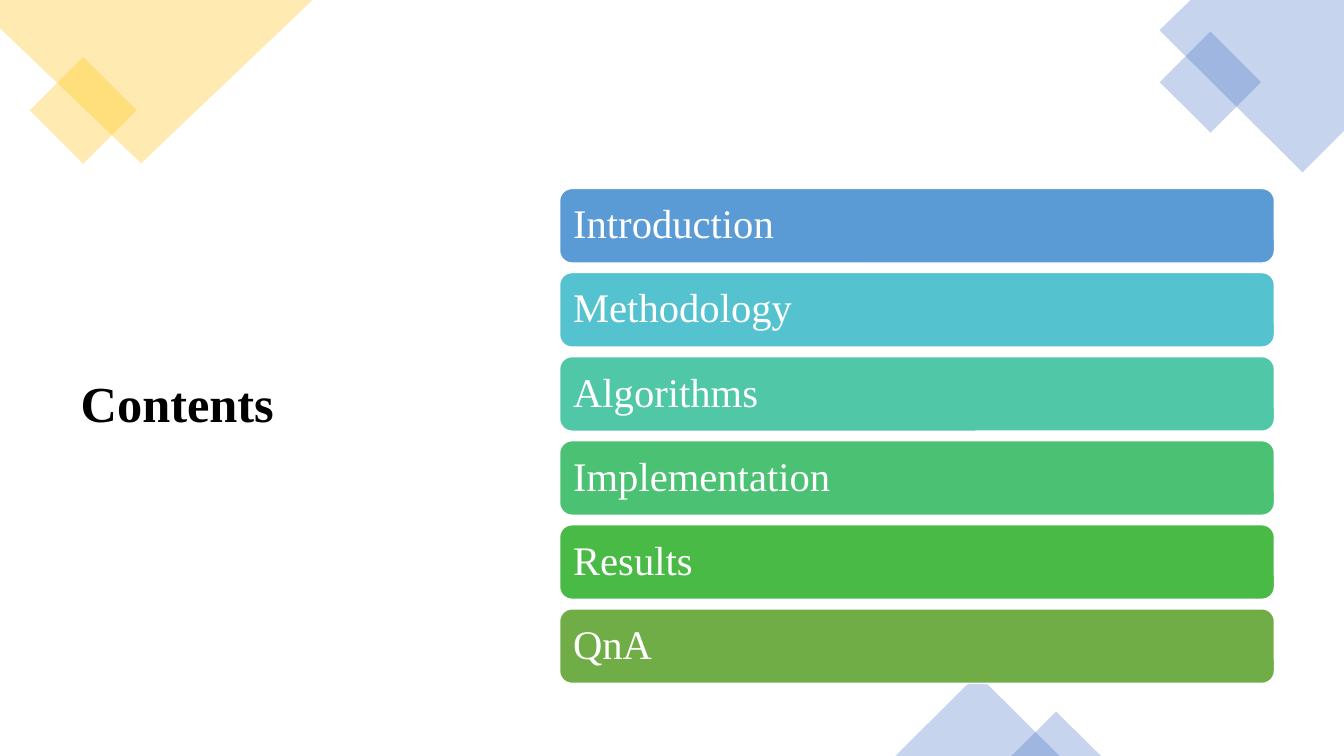
from dataclasses import dataclass

from lxml import etree
from pptx import Presentation
from pptx import util as u
from pptx.dml.color import RGBColor
from pptx.enum import shapes, text
from pptx.oxml.ns import qn


@dataclass(frozen=True)
class Theme:
    """Colours, font and type sizes of the deck."""
    font: str = "Times New Roman"
    title_size: int = 36
    topic_size: int = 29
    ink: str = "000000"
    paper: str = "FFFFFF"
    gold: str = "FFC000"
    blue: str = "4472C4"
    opacity: int = 30
    bars: tuple = ("5B9BD5", "55C3CF", "50C8A7", "4BC174", "4ABA46", "70AD47")


THEME = Theme()
TOPICS = ("Introduction", "Methodology", "Algorithms",
          "Implementation", "Results", "QnA")


def write(frame, words, size, color, bold=False, inset=0.1):
    """Put left-aligned, vertically centred words into a text frame."""
    frame.word_wrap = True
    frame.auto_size = text.MSO_AUTO_SIZE.NONE
    frame.vertical_anchor = text.MSO_ANCHOR.MIDDLE
    frame.margin_left = frame.margin_right = u.Inches(inset)
    frame.margin_top = frame.margin_bottom = 0
    paragraph = frame.paragraphs[0]
    paragraph.alignment = text.PP_ALIGN.LEFT
    paragraph.line_spacing = 0.9
    run = paragraph.add_run()
    run.text = words
    run.font.name = THEME.font
    run.font.size = u.Pt(size)
    run.font.bold = bold
    run.font.color.rgb = RGBColor.from_string(color)


def tint(ornament, color):
    """Give an ornament a translucent fill without outline or shadow."""
    ornament.shadow.inherit = False
    ornament.line.fill.background()
    ornament.fill.solid()
    ornament.fill.fore_color.rgb = RGBColor.from_string(color)
    swatch = ornament.fill._xPr.find(".//" + qn("a:srgbClr"))
    etree.SubElement(swatch, qn("a:alpha"), val=str(THEME.opacity * 1000))


def add_ornament(slide, kind, box, color, rotation=0):
    """Add a translucent preset shape."""
    ornament = slide.shapes.add_shape(kind, *map(u.Inches, box))
    ornament.rotation = rotation
    tint(ornament, color)


def add_corner(slide, box, outline, square, color):
    """Draw a corner's large outline and the small tilted square over it."""
    left, top = box
    points = [(u.Inches(left + x), u.Inches(top + y)) for x, y in outline]
    builder = slide.shapes.build_freeform(*points[0])
    builder.add_line_segments(points[1:], close=True)
    tint(builder.convert_to_shape(), color)
    x, y, side = square
    add_ornament(slide, shapes.MSO_SHAPE.RECTANGLE,
                 (left + x, top + y, side, side), color, rotation=45)


def add_peaks(slide, box):
    """Draw the two triangles standing on the bottom edge of the box."""
    left, top, width, height = box
    bottom = top + height
    for x, base, rise in ((0, 1.63, 0.81), (width - 0.89, 0.89, 0.44)):
        add_ornament(slide, shapes.MSO_SHAPE.ISOSCELES_TRIANGLE,
                     (left + x, bottom - rise, base, rise), THEME.blue)


def add_title(slide, box):
    """Place and format the slide title."""
    title = slide.shapes.title
    title.left, title.top, title.width, title.height = map(u.Inches, box)
    write(title.text_frame, "Contents", THEME.title_size, THEME.ink, bold=True)


def add_topics(slide, box, bar_height=0.74):
    """Stack one coloured bar per topic evenly through the box."""
    left, top, width, height = box
    pitch = (height - bar_height) / (len(TOPICS) - 1)
    for row, (topic, color) in enumerate(zip(TOPICS, THEME.bars)):
        bar = slide.shapes.add_shape(
            shapes.MSO_SHAPE.ROUNDED_RECTANGLE, u.Inches(left),
            u.Inches(top + row * pitch), u.Inches(width), u.Inches(bar_height))
        bar.shadow.inherit = False
        bar.fill.solid()
        bar.fill.fore_color.rgb = RGBColor.from_string(color)
        bar.line.color.rgb = RGBColor.from_string(THEME.paper)
        bar.line.width = u.Pt(1)
        write(bar.text_frame, topic, THEME.topic_size, THEME.paper, inset=0.1)


def add_contents_slide(deck):
    """Build the contents slide."""
    slide = deck.slides.add_slide(deck.slide_layouts[5])
    add_title(slide, (0.7, 1.86, 4.33, 4.34))
    add_corner(slide, (0, 0), ((0, 0), (3.1, 0), (1.4, 1.62), (0, 0.28)),
               (0.45, 0.72, 0.75), THEME.gold)
    add_corner(slide, (11.5, 0), ((0.31, 0), (1.83, 0), (1.83, 1.3),
                                  (1.42, 1.71), (0, 0.3)),
               (0.15, 0.46, 0.71), THEME.blue)
    add_peaks(slide, (8.88, 6.69, 2.04, 0.81))
    add_topics(slide, (5.55, 1.87, 7.09, 4.91))


def main():
    """Create and save the deck."""
    deck = Presentation()
    deck.slide_width, deck.slide_height = u.Inches(13.33), u.Inches(7.5)
    add_contents_slide(deck)
    deck.save("out.pptx")


if __name__ == "__main__":
    main()
